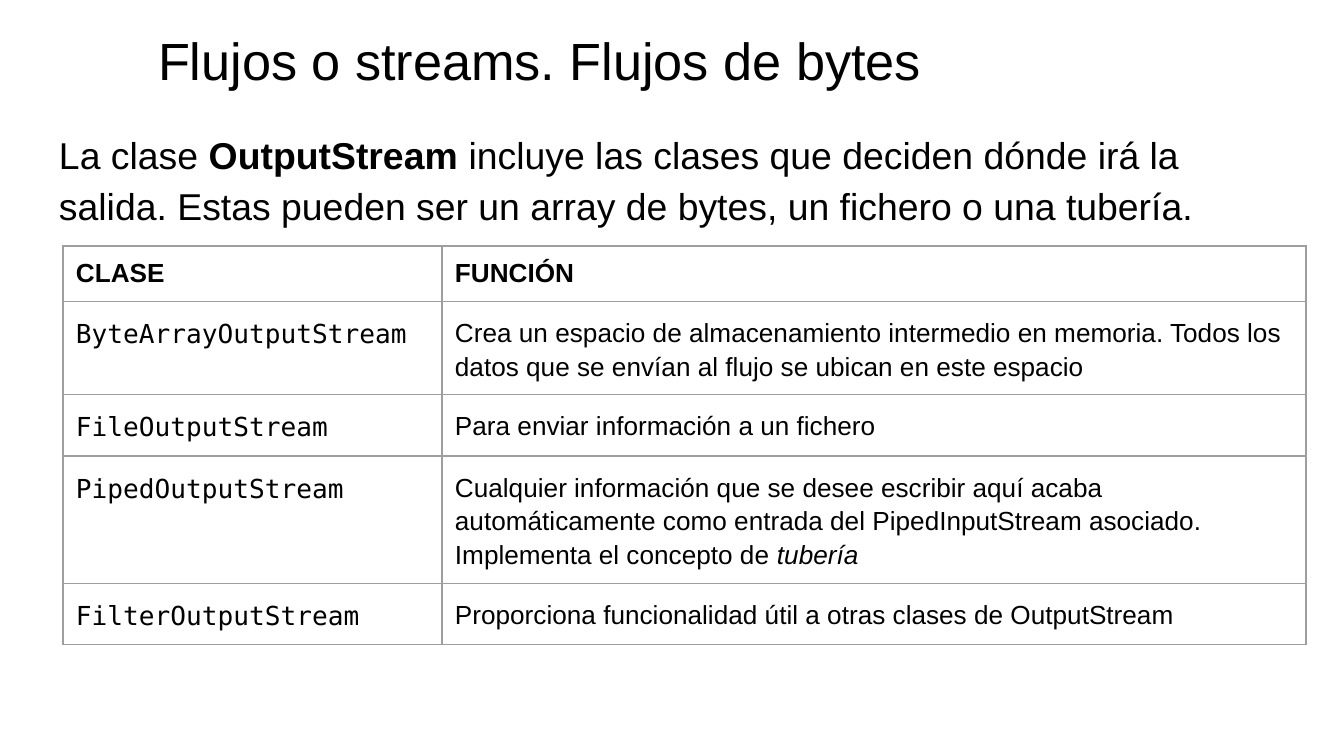
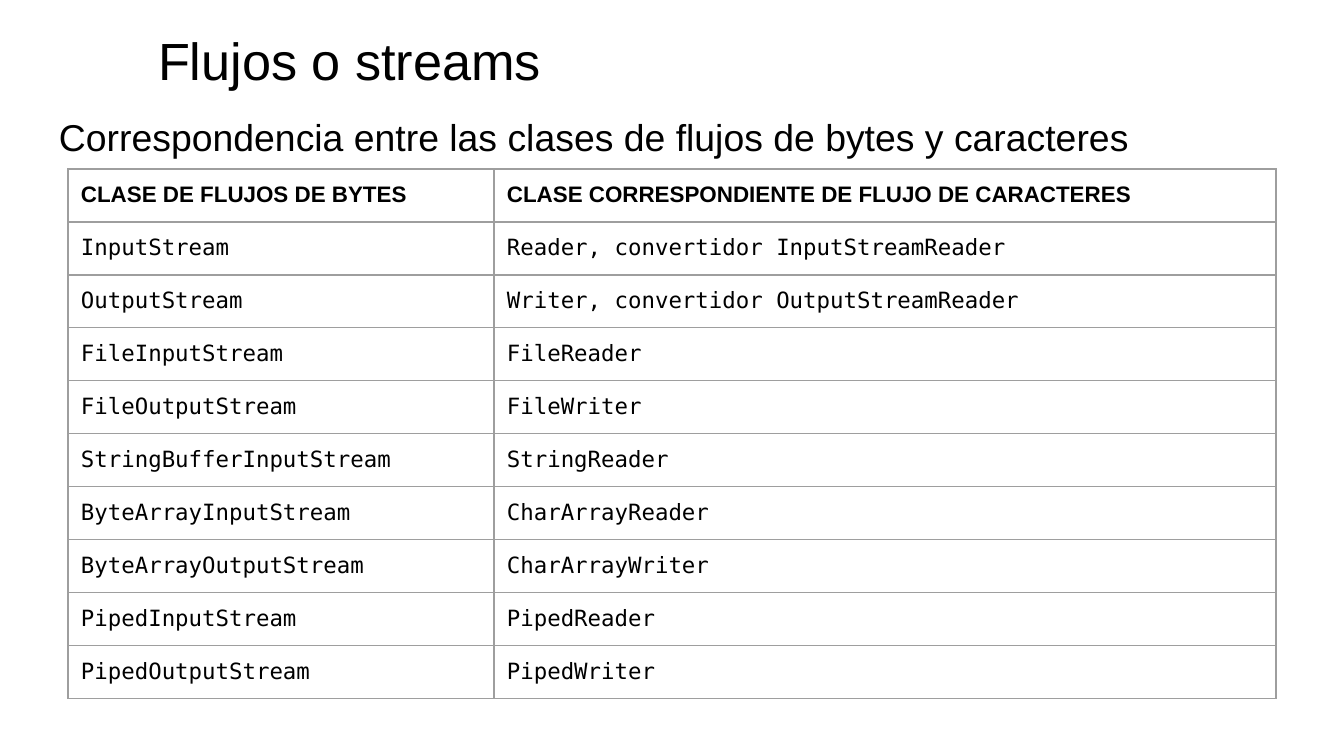
"""Build two slides on Java byte streams and their matching character classes."""
import pptx
import pptx.dml.color
import pptx.enum.text
import pptx.oxml
import pptx.oxml.ns
import pptx.util

PX = 914400 / 134.4
BLACK = pptx.dml.color.RGBColor(0x00, 0x00, 0x00)
GRID = pptx.dml.color.RGBColor(0x9E, 0x9E, 0x9E)
SANS, MONO = "Arial", "DejaVu Sans Mono"
BOLD, ITALIC = {"bold": True}, {"italic": True}
INSET = 13
GRID_POINTS = 0.75
TITLE_AREA = (145, 15, 1177, 86)

SLIDES = [
    {
        "title": "Flujos o streams. Flujos de bytes",
        "intro": [
            ("La clase ", {}),
            ("OutputStream ", BOLD),
            ("incluye las clases que deciden dónde irá la salida. Estas pueden ser "
             "un array de bytes, un fichero o una tubería.", {}),
        ],
        "intro_area": (46, 112, 1253, 576),
        "table_at": (63, 246),
        "columns": (379, 864),
        "row_height": 51,
        "size": 14,
        "spacing": 1.15,
        "fonts": (MONO, SANS),
        "header": ("CLASE", "FUNCIÓN"),
        "rows": [
            ("ByteArrayOutputStream",
             "Crea un espacio de almacenamiento intermedio en memoria. Todos los datos "
             "que se envían al flujo se ubican en este espacio"),
            ("FileOutputStream", "Para enviar información a un fichero"),
            ("PipedOutputStream", [
                ("Cualquier información que se desee escribir aquí acaba automáticamente "
                 "como entrada del PipedInputStream asociado. Implementa el concepto de ", {}),
                ("tubería", ITALIC),
            ]),
            ("FilterOutputStream",
             "Proporciona funcionalidad útil a otras clases de OutputStream"),
        ],
    },
    {
        "title": "Flujos o streams",
        "intro": "Correspondencia entre las clases de flujos de bytes y caracteres",
        "intro_area": (46, 94, 1253, 594),
        "table_at": (68, 169),
        "columns": (426, 782),
        "row_height": 53,
        "size": 12,
        "spacing": 1.0,
        "fonts": (MONO, MONO),
        "header": ("CLASE DE FLUJOS DE BYTES",
                   "CLASE CORRESPONDIENTE DE FLUJO DE CARACTERES"),
        "rows": [
            ("InputStream", "Reader, convertidor InputStreamReader"),
            ("OutputStream", "Writer, convertidor OutputStreamReader"),
            ("FileInputStream", "FileReader"),
            ("FileOutputStream", "FileWriter"),
            ("StringBufferInputStream", "StringReader"),
            ("ByteArrayInputStream", "CharArrayReader"),
            ("ByteArrayOutputStream", "CharArrayWriter"),
            ("PipedInputStream", "PipedReader"),
            ("PipedOutputStream", "PipedWriter"),
        ],
    },
]


def px(length):
    return pptx.util.Emu(round(length * PX))


def apply(target, values):
    for name, value in values.items():
        setattr(target, name, value)


def margins():
    return {f"margin_{side}": px(INSET) for side in ("left", "top", "right", "bottom")}


def write(frame, content, size, font=SANS, spacing=1.0, **style):
    para = frame.paragraphs[0]
    apply(para, {
        "alignment": pptx.enum.text.PP_ALIGN.LEFT,
        "line_spacing": spacing,
        "space_before": pptx.util.Pt(0),
        "space_after": pptx.util.Pt(0),
    })
    spans = [(content, {})] if isinstance(content, str) else content
    for text, extra in spans:
        span = para.add_run()
        span.text = text
        apply(span.font, {"name": font, "size": pptx.util.Pt(size),
                          "bold": False, "italic": False, **style, **extra})
        span.font.color.rgb = BLACK
    return para


def fill_placeholder(box, area, content, size, anchor, spacing=1.0):
    apply(box, dict(zip(("left", "top", "width", "height"), map(px, area))))
    apply(box.text_frame, {
        **margins(),
        "word_wrap": True,
        "auto_size": pptx.enum.text.MSO_AUTO_SIZE.NONE,
        "vertical_anchor": anchor,
    })
    return write(box.text_frame, content, size, spacing=spacing)


def remove_bullet(para):
    properties = para._p.get_or_add_pPr()
    properties.set("marL", "0")
    properties.set("indent", "0")
    pptx.oxml.ns.qn("a:buNone")
    properties.append(pptx.oxml.parse_xml(
        f'<a:buNone {pptx.oxml.ns.nsdecls("a")}/>'))


def draw_borders(cell):
    properties = cell._tc.get_or_add_tcPr()
    width = pptx.util.Pt(GRID_POINTS)
    for position, side in enumerate(("lnL", "lnR", "lnT", "lnB")):
        properties.insert(position, pptx.oxml.parse_xml(
            f'<a:{side} {pptx.oxml.ns.nsdecls("a")} w="{width}"><a:solidFill>'
            f'<a:srgbClr val="{GRID}"/></a:solidFill></a:{side}>'))


def add_class_table(page, content):
    rows = [content["header"], *content["rows"]]
    columns, height = content["columns"], content["row_height"]
    frame = page.shapes.add_table(
        len(rows), len(columns), *map(px, content["table_at"]),
        px(sum(columns)), px(height * len(rows)))
    table = frame.table
    apply(table, {"first_row": False, "horz_banding": False})
    for column, width in zip(table.columns, columns):
        column.width = px(width)
    for index, values in enumerate(rows):
        table.rows[index].height = px(height)
        for cell, value, font in zip(table.rows[index].cells, values, content["fonts"]):
            apply(cell, margins())
            cell.fill.background()
            draw_borders(cell)
            if index == 0:
                write(cell.text_frame, value, content["size"], **BOLD)
            else:
                write(cell.text_frame, value, content["size"], font, content["spacing"])


def add_page(deck, content):
    page = deck.slides.add_slide(deck.slide_layouts[1])
    anchors = pptx.enum.text.MSO_ANCHOR
    fill_placeholder(page.shapes.title, TITLE_AREA, content["title"], 28, anchors.TOP)
    intro = fill_placeholder(page.placeholders[1], content["intro_area"],
                             content["intro"], 20, anchors.TOP, 1.15)
    remove_bullet(intro)
    add_class_table(page, content)


def main():
    deck = pptx.Presentation()
    apply(deck, {"slide_width": px(1344), "slide_height": px(756)})
    for content in SLIDES:
        add_page(deck, content)
    deck.save("out.pptx")


if __name__ == "__main__":
    main()
